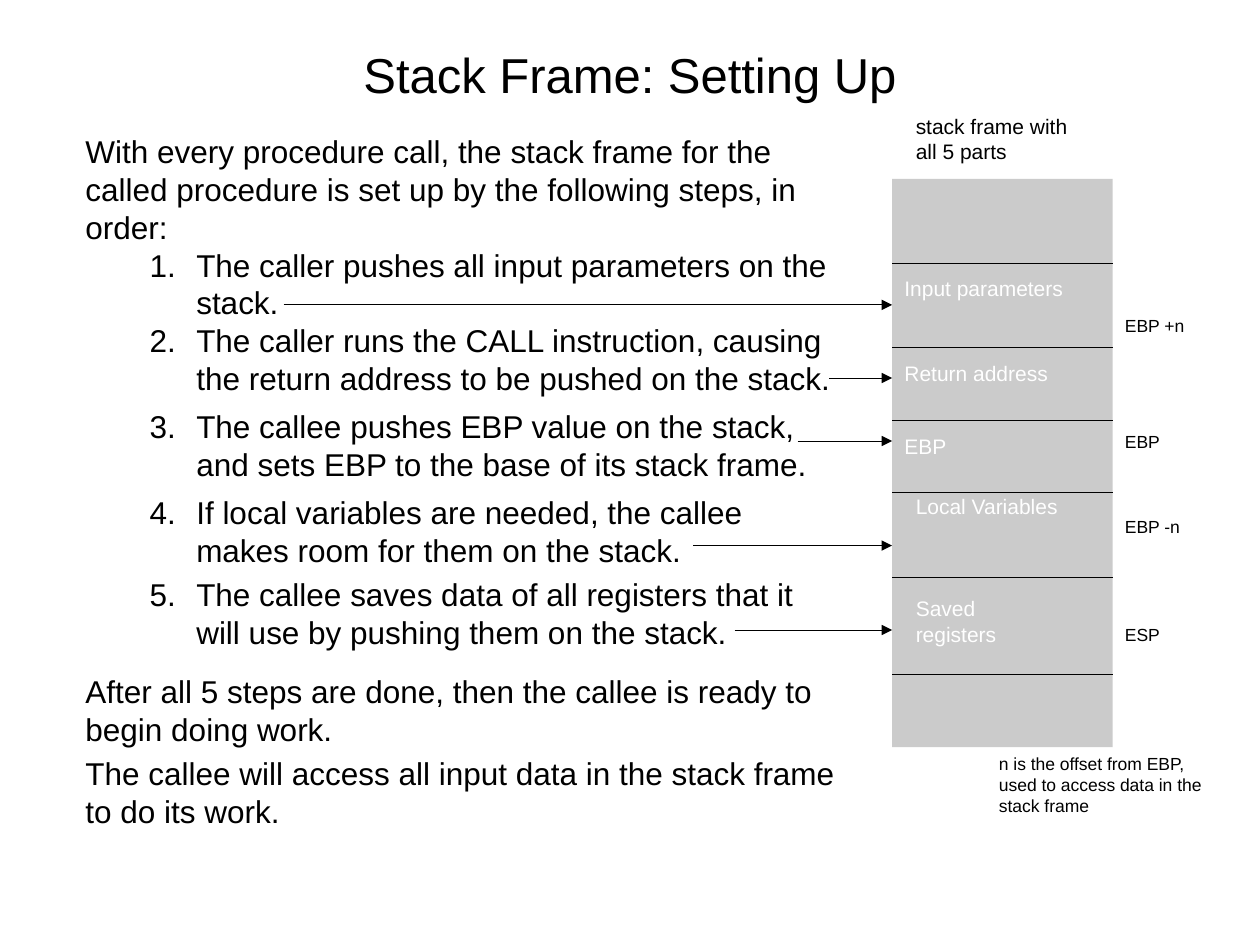
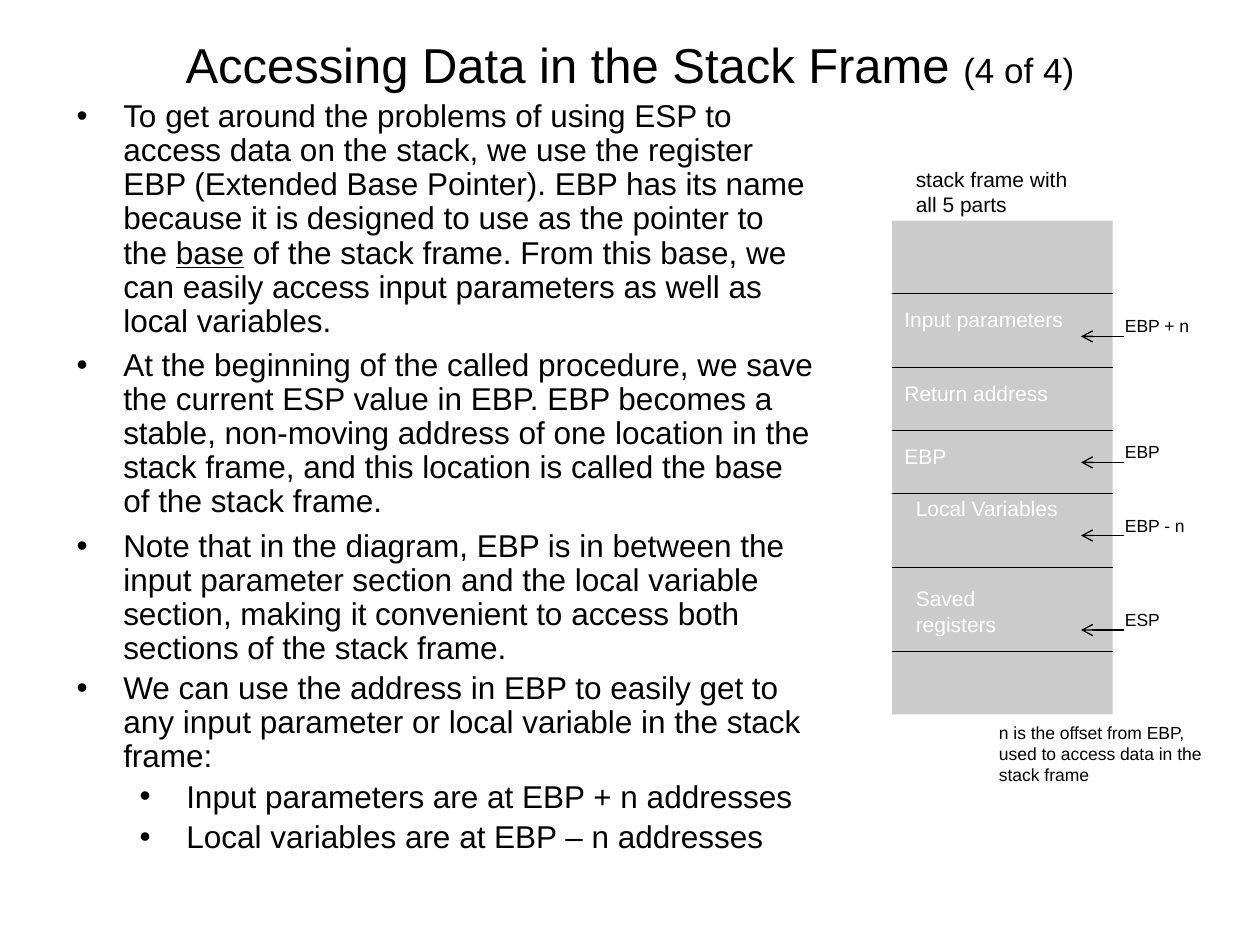
from lxml import etree
from pptx import Presentation
from pptx.dml.color import RGBColor
from pptx.enum.shapes import MSO_CONNECTOR, MSO_SHAPE
from pptx.enum.text import MSO_ANCHOR, MSO_AUTO_SIZE, PP_ALIGN
from pptx.oxml.ns import qn
from pptx.util import Inches, Pt

STRAIGHT = MSO_CONNECTOR.STRAIGHT
RECTANGLE = MSO_SHAPE.RECTANGLE
TOP, MIDDLE = MSO_ANCHOR.TOP, MSO_ANCHOR.MIDDLE
LEFT, CENTER = PP_ALIGN.LEFT, PP_ALIGN.CENTER
NO_FIT, GROW = MSO_AUTO_SIZE.NONE, MSO_AUTO_SIZE.SHAPE_TO_FIT_TEXT

FONT = "Arial"
COLORS = {"ink": "000000", "stack": "CBCBCB", "part": "FFFFFF"}
STACK_LEFT, STACK_WIDTH = 7.08, 1.75
STACK_RIGHT = STACK_LEFT + STACK_WIDTH
HANGING = 0.37

# Part label, left, width, height, shift from the line above it
PARTS = [
    ("Input parameters", 7.08, 1.5, 0.5, 0),
    ("Return address", 7.08, 1.42, 0.5, 0),
    ("EBP", 7.08, 1.67, 0.5, 0),
    ("Local Variables", 7.17, 1.33, 0.5, -0.09),
    ("Saved registers", 7.17, 1.33, 0.7, 0),
]


def rgb(name):
    return RGBColor.from_string(COLORS[name])


def add_text(paragraph, text, size=18, color="ink", underline=None):
    """Add one formatted run to a paragraph."""
    run = paragraph.add_run()
    run.text = text
    run.font.name = FONT
    run.font.size = Pt(size)
    run.font.color.rgb = rgb(color)
    run.font.underline = underline


class Deck:
    def __init__(self):
        self.presentation = Presentation()
        self.presentation.slide_width = Inches(10)
        self.presentation.slide_height = Inches(7.5)
        self.canvas = None

    def new_slide(self):
        blank = self.presentation.slide_layouts[6]
        self.slide = self.presentation.slides.add_slide(blank)
        self.canvas = self.slide.shapes

    def frame(self, left, top, width, height, margin=0.05, anchor=TOP, fit=NO_FIT):
        box = self.canvas.add_textbox(Inches(left), Inches(top), Inches(width), Inches(height))
        frame = box.text_frame
        frame.word_wrap = True
        frame.auto_size = fit
        frame.vertical_anchor = anchor
        frame.margin_left = frame.margin_right = Inches(0.1)
        frame.margin_top = frame.margin_bottom = Inches(margin)
        return frame

    def title(self, top, text, suffix=""):
        heading = self.frame(0.75, top, 8.5, 0.67, anchor=MIDDLE).paragraphs[0]
        heading.alignment = CENTER
        add_text(heading, text, size=28)
        if suffix:
            add_text(heading, suffix, size=20)

    def label(self, text, left, top, width, height, size=10, color="ink"):
        line = self.frame(left, top, width, height, margin=0.15, fit=GROW).paragraphs[0]
        line.alignment = LEFT
        line.space_before = Pt(size / 2)
        add_text(line, text, size=size, color=color)

    def body(self, left, top, width, height, items, spacing=None):
        """Items are (runs, space before, level, bullet)."""
        frame = self.frame(left, top, width, height)
        for index, (runs, before, level, bullet) in enumerate(items):
            paragraph = frame.add_paragraph() if index else frame.paragraphs[0]
            paragraph.level = level
            paragraph.alignment = LEFT
            paragraph.space_before = Pt(before)
            paragraph.line_spacing = spacing
            if bullet:
                self.bullet(paragraph, bullet, 0.38 + 0.5 * level)
            for text, underline in runs:
                add_text(paragraph, text, underline=underline)

    def bullet(self, paragraph, bullet, indent):
        properties = paragraph._p.get_or_add_pPr()
        properties.set("marL", str(Inches(indent)))
        properties.set("indent", str(-Inches(HANGING)))
        color = etree.SubElement(properties, qn("a:buClr"))
        etree.SubElement(color, qn("a:srgbClr"), val=COLORS["ink"])
        etree.SubElement(properties, qn("a:buFont"), typeface=FONT)
        if bullet == "number":
            etree.SubElement(properties, qn("a:buAutoNum"), type="arabicPeriod")
        else:
            etree.SubElement(properties, qn("a:buChar"), char=bullet)

    def line(self, start, end, y, width=0.5, head=None):
        line = self.canvas.add_connector(STRAIGHT, Inches(start), Inches(y), Inches(end), Inches(y))
        line.line.color.rgb = rgb("ink")
        line.line.width = Pt(width)
        if head:
            etree.SubElement(line.line._get_or_add_ln(), qn("a:tailEnd"), type=head)
        etree.SubElement(line._element.spPr, qn("a:effectLst"))

    def stack(self, top, height, cuts, heading_top, caption_top, pointers):
        """Draw the stack diagram as one group."""
        self.canvas = self.slide.shapes.add_group_shape().shapes
        block = self.canvas.add_shape(
            RECTANGLE, Inches(STACK_LEFT), Inches(top), Inches(STACK_WIDTH), Inches(height))
        block.shadow.inherit = False
        block.fill.solid()
        block.fill.fore_color.rgb = rgb("stack")
        block.line.fill.background()

        # Dividers, the first three with a second stroke
        for cut in cuts:
            self.line(STACK_LEFT, STACK_RIGHT, cut)
        for start, cut in zip((7.25, 7.17, 7.17), cuts):
            self.line(start, 8.5, cut)

        # Labels of the parts, then the notes around the stack
        for (text, left, width, box_height, shift), cut in zip(PARTS, cuts):
            self.label(text, left, cut + shift, width, box_height, size=12, color="part")
        self.label("stack frame with all 5 parts", 7.17, heading_top, 1.5, 0.7, size=12)
        self.label("n is the offset from EBP, used to access data in the stack frame",
                   7.83, caption_top, 1.83, 0.8)
        for text, pointer_top in pointers:
            self.label(text, STACK_RIGHT, pointer_top, 0.92, 0.47)
        self.canvas = self.slide.shapes


def plain(text, before, level=0, bullet=None):
    return [(text, None)], before, level, bullet


def setting_up(deck):
    deck.new_slide()
    deck.title(0.25, "Stack Frame: Setting Up")
    steps = [
        ("The caller pushes all input parameters on the stack.", 0),
        ("The caller runs the CALL instruction, causing the return address to be "
         "pushed on the stack.", 0),
        ("The callee pushes EBP value on the stack, and sets EBP to the base of its "
         "stack frame.", 6),
        ("If local variables are needed, the callee makes room for them on the stack.", 6),
        ("The callee saves data of all registers that it will use by pushing them on "
         "the stack.", 3.6),
    ]
    deck.body(0.58, 1, 6.17, 5.83, [
        plain("With every procedure call, the stack frame for the called procedure is "
              "set up by the following steps, in order:", 3.6),
        *[plain(text, before, 1, "number") for text, before in steps],
        plain("After all 5 steps are done, then the callee is ready to begin doing work.", 12),
        plain("The callee will access all input data in the stack frame to do its work.", 3.6),
    ])
    deck.stack(1.42, 4.51, [2.09, 2.76, 3.34, 3.91, 4.58, 5.35], 0.75, 5.83,
               [("EBP +n", 2.42), ("EBP", 3.34), ("EBP -n", 4.01), ("ESP", 4.87)])

    # Arrows from each step to its part
    for start, y in [(2.25, 2.42), (6.58, 3), (6.33, 3.5), (5.5, 4.33), (5.83, 5)]:
        deck.line(start, STACK_LEFT, y, head="triangle")


def accessing_data(deck):
    deck.new_slide()
    deck.title(0.17, "Accessing Data in the Stack Frame ", "(4 of 4)")
    reason = [
        ("To get around the problems of using ESP to access data on the stack, we use the "
         "register EBP (Extended Base Pointer). EBP has its name because it is designed to "
         "use as the pointer to the ", None),
        ("base", True),
        (" of the stack frame. From this base, we can easily access input parameters as "
         "well as local variables.", None),
    ]
    deck.body(0.5, 0.75, 6.08, 6, [
        (reason, 6, 0, "•"),
        plain("At the beginning of the called procedure, we save the current ESP value in "
              "EBP. EBP becomes a stable, non-moving address of one location in the stack "
              "frame, and this location is called the base of the stack frame.", 6, 0, "•"),
        plain("Note that in the diagram, EBP is in between the input parameter section and "
              "the local variable section, making it convenient to access both sections of "
              "the stack frame.", 6, 0, "•"),
        plain("We can use the address in EBP to easily get to any input parameter or local "
              "variable in the stack frame:", 3.6, 0, "•"),
        plain("Input parameters are at EBP + n addresses", 3.6, 1, "•"),
        plain("Local variables are at EBP – n addresses", 3.6, 1, "•"),
    ], spacing=0.9)
    pointers = [("EBP + n", 2.42), ("EBP", 3.42), ("EBP - n", 4), ("ESP", 4.75)]
    deck.stack(1.75, 3.92, [2.33, 2.92, 3.42, 3.92, 4.5, 5.17], 1.17, 5.58, pointers)

    # Arrows from each pointer into the stack
    for _, top in pointers:
        deck.line(8.92, 8.58, top + 0.25, width=0.75, head="arrow")


def main():
    deck = Deck()
    setting_up(deck)
    accessing_data(deck)
    deck.presentation.save("out.pptx")


if __name__ == "__main__":
    main()
